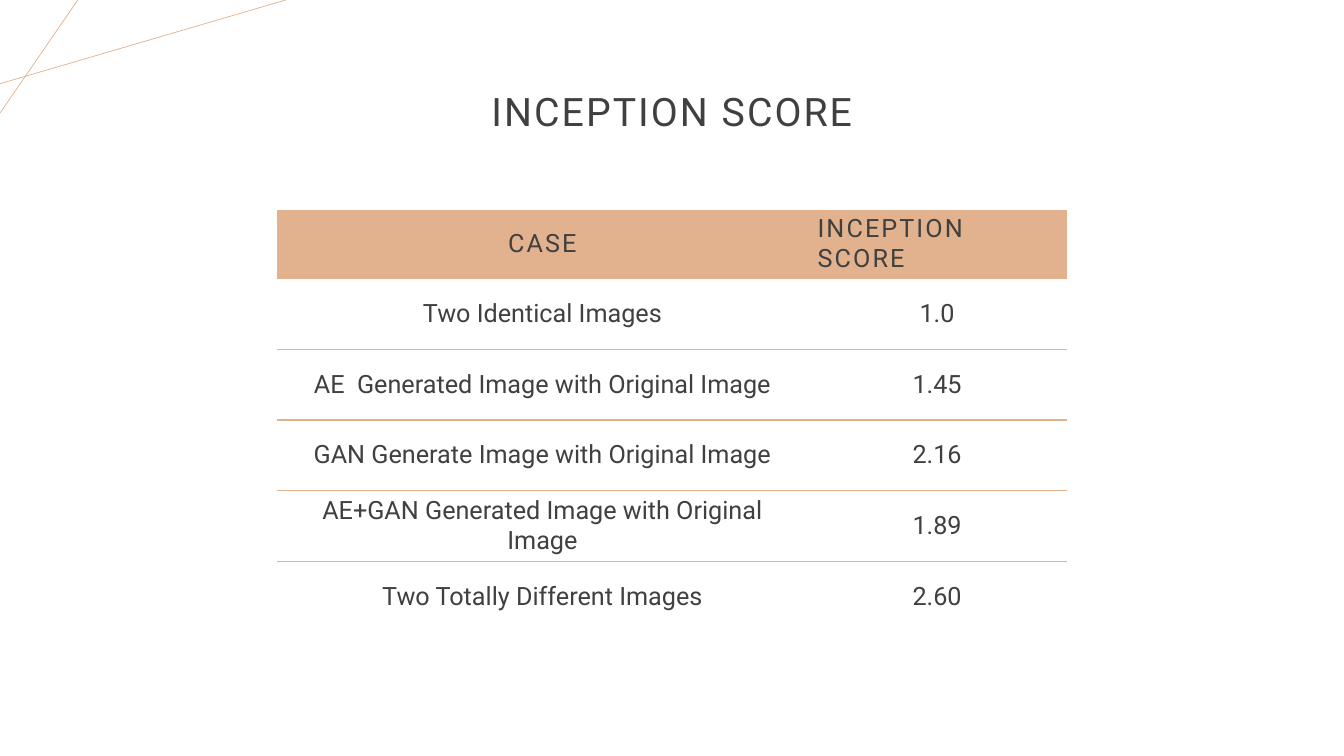
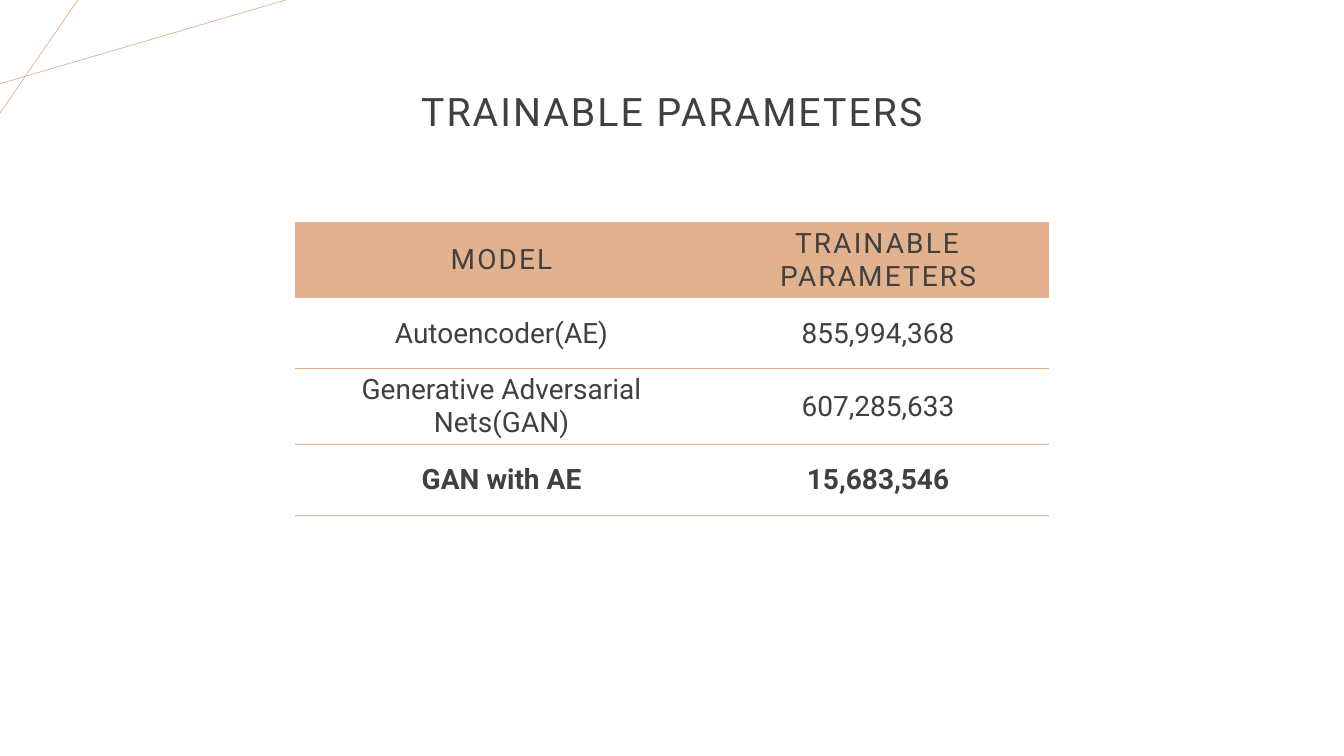
import lxml.etree
import pptx
import pptx.dml.color
import pptx.enum.shapes
import pptx.enum.text
import pptx.oxml.ns
import pptx.util

Cm = pptx.util.Cm
Pt = pptx.util.Pt
qn = pptx.oxml.ns.qn
ALIGN = pptx.enum.text.PP_ALIGN
MIDDLE = pptx.enum.text.MSO_ANCHOR.MIDDLE

SLIDE_WIDTH, SLIDE_HEIGHT = 33.87, 19.05
SAND, INK, WHITE = "E2B18D", "404040", "FFFFFF"
NO_GRID_STYLE = "{2D5ABB26-0587-4C30-8999-92F81FD0307C}"
HEADER_HEIGHT, ROW_HEIGHT = 0.86, 1.78
CORNER_LINES = [((0, 2.11), (7.2, 0)), ((1.96, 0), (0, 2.85))]


def color(hex_code):
    return pptx.dml.color.RGBColor.from_string(hex_code)


class Deck:
    """Holds the shared style and the slide being built."""

    font_name = "Roboto"
    letter_spacing = 1.5

    def __init__(self):
        self.presentation = pptx.Presentation()
        self.presentation.slide_width = Cm(SLIDE_WIDTH)
        self.presentation.slide_height = Cm(SLIDE_HEIGHT)
        self.slide = None

    def new_slide(self, title):
        layout = self.presentation.slide_layouts[5]
        self.slide = self.presentation.slides.add_slide(layout)
        background = self.slide.background.fill
        background.solid()
        background.fore_color.rgb = color(WHITE)
        for start, end in CORNER_LINES:
            self.line(start, end)
        self.title(title)

    def line(self, start, end):
        connector = self.slide.shapes.add_connector(
            pptx.enum.shapes.MSO_CONNECTOR.STRAIGHT,
            *(Cm(length) for length in start + end))
        connector.line.color.rgb = color(SAND)
        connector.line.width = Pt(0.5)
        lxml.etree.SubElement(connector._element.spPr, qn("a:effectLst"))

    def text(self, frame, words, size, bold=False, spacing=0, align=ALIGN.CENTER):
        paragraph = frame.paragraphs[0]
        paragraph.alignment = align
        run = paragraph.add_run()
        run.text = words
        formats = {"name": self.font_name, "size": Pt(size), "bold": bold}
        for attribute, value in formats.items():
            setattr(run.font, attribute, value)
        run.font.color.rgb = color(INK)
        run.font._element.set("spc", str(int(spacing * 100)))
        return paragraph

    def title(self, words):
        heading = self.slide.shapes.title
        place = {"left": 2.33, "top": 1.02, "width": 29.21, "height": 3.68}
        for attribute, value in place.items():
            setattr(heading, attribute, Cm(value))
        frame = heading.text_frame
        frame.auto_size = pptx.enum.text.MSO_AUTO_SIZE.NONE
        frame.vertical_anchor = MIDDLE
        paragraph = self.text(frame, words, 28, spacing=self.letter_spacing)
        paragraph.line_spacing = 0.9

    def bottom_border(self, cell):
        border = lxml.etree.SubElement(
            cell._tc.get_or_add_tcPr(), qn("a:lnB"), w=str(Pt(1)))
        fill = lxml.etree.SubElement(border, qn("a:solidFill"))
        lxml.etree.SubElement(fill, qn("a:srgbClr"), val=SAND)

    def table(self, rows, top, widths, size, header_aligns,
              bold_rows=(), closing_line=False):
        """Draws a horizontally centred table with a filled header row."""
        last = len(rows) - 1
        table_width = sum(widths)
        grid = self.slide.shapes.add_table(
            len(rows), len(widths), Cm((SLIDE_WIDTH - table_width) / 2), Cm(top),
            Cm(table_width), Cm(HEADER_HEIGHT + last * ROW_HEIGHT)).table
        grid.horz_banding = False
        grid._tbl.tblPr.find(qn("a:tableStyleId")).text = NO_GRID_STYLE
        for column, width in zip(grid.columns, widths):
            column.width = Cm(width)
        for r, row in enumerate(rows):
            header = r == 0
            grid.rows[r].height = Cm(HEADER_HEIGHT if header else ROW_HEIGHT)
            for c, words in enumerate(row):
                cell = grid.cell(r, c)
                cell.vertical_anchor = MIDDLE
                if not header and (r < last or closing_line):
                    self.bottom_border(cell)
                if header:
                    cell.fill.solid()
                    cell.fill.fore_color.rgb = color(SAND)
                else:
                    cell.fill.background()
                self.text(cell.text_frame, words, size, bold=r in bold_rows,
                          spacing=self.letter_spacing if header else 0,
                          align=header_aligns[c] if header else ALIGN.CENTER)


def main():
    deck = Deck()

    # Inception scores
    deck.new_slide("INCEPTION SCORE")
    scores = [
        ("CASE", "INCEPTION SCORE"),
        ("Two Identical Images", "1.0"),
        ("AE  Generated Image with Original Image", "1.45"),
        ("GAN Generate Image with Original Image", "2.16"),
        ("AE+GAN Generated Image with Original Image", "1.89"),
        ("Two Totally Different Images", "2.60"),
    ]
    deck.table(scores, top=5.28, widths=(13.36, 6.53), size=18,
               header_aligns=(ALIGN.CENTER, ALIGN.LEFT))

    # Model sizes
    deck.new_slide("TRAINABLE PARAMETERS")
    model_sizes = [
        ("MODEL", "TRAINABLE PARAMETERS"),
        ("Autoencoder(AE)", "855,994,368"),
        ("Generative Adversarial Nets(GAN)", "607,285,633"),
        ("GAN with AE", "15,683,546"),
    ]
    deck.table(model_sizes, top=5.6, widths=(10.39, 8.59), size=20,
               header_aligns=(ALIGN.CENTER, ALIGN.CENTER),
               bold_rows=(3,), closing_line=True)

    deck.presentation.save("out.pptx")


if __name__ == "__main__":
    main()
